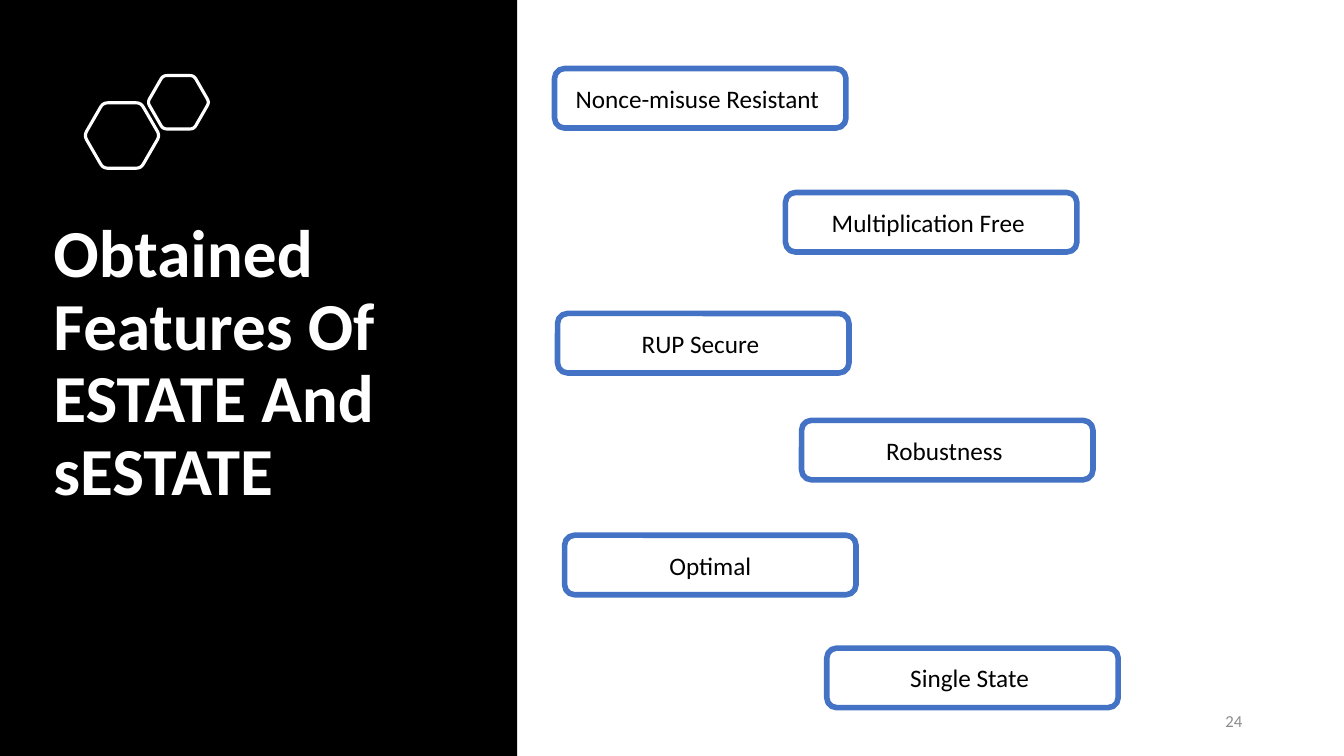
import dataclasses
import math

import pptx
import pptx.dml.color
import pptx.enum.shapes
import pptx.enum.text
import pptx.util

Inches = pptx.util.Inches
Pt = pptx.util.Pt
ALIGN = pptx.enum.text.PP_ALIGN
MIDDLE = pptx.enum.text.MSO_ANCHOR.MIDDLE
SHAPE = pptx.enum.shapes.MSO_SHAPE

FONT = "Calibri"
BLACK, WHITE, BLUE, GRAY = "000000", "FFFFFF", "4472C4", "8C8C8C"
FEATURE_WIDTH, FEATURE_HEIGHT = 2.89, 0.59


@dataclasses.dataclass
class Feature:
    text: str
    left: float
    top: float


@dataclasses.dataclass
class Hexagon:
    center_x: float
    center_y: float
    radius: float
    corner_cut: float


FEATURES = [
    Feature("Nonce-misuse Resistant ", 5.5, 0.68),
    Feature("Multiplication Free ", 7.79, 1.91),
    Feature("RUP Secure ", 5.53, 3.11),
    Feature("Robustness ", 7.95, 4.17),
    Feature("Optimal", 5.6, 5.31),
    Feature("Single State ", 8.2, 6.43),
]
HEXAGONS = [Hexagon(1.21, 1.345, 0.375, 0.05), Hexagon(1.77, 1.015, 0.306, 0.04)]


def color(hex_string: str) -> pptx.dml.color.RGBColor:
    return pptx.dml.color.RGBColor.from_string(hex_string)


def style_shape(shape, fill: str | None, line: str | None, width: float = 0) -> None:
    shape.shadow.inherit = False
    if fill:
        shape.fill.solid()
        shape.fill.fore_color.rgb = color(fill)
    else:
        shape.fill.background()
    if line:
        shape.line.color.rgb = color(line)
        shape.line.width = Pt(width)
    else:
        shape.line.fill.background()


def write_text(shape, text: str, size: float, text_color: str, alignment, bold: bool = False):
    frame = shape.text_frame
    frame.text = text
    frame.word_wrap = True
    frame.auto_size = pptx.enum.text.MSO_AUTO_SIZE.NONE
    frame.vertical_anchor = MIDDLE
    paragraph = frame.paragraphs[0]
    paragraph.alignment = alignment
    paragraph.font.name = FONT
    paragraph.font.size = Pt(size)
    paragraph.font.bold = bold
    paragraph.font.color.rgb = color(text_color)
    return paragraph


def rounded_outline(hexagon: Hexagon, steps: int = 6) -> list[tuple[float, float]]:
    """Points of a hexagon whose corners are short quadratic curves."""
    corners = [
        (hexagon.center_x + hexagon.radius * math.cos(math.radians(angle)),
         hexagon.center_y + hexagon.radius * math.sin(math.radians(angle)))
        for angle in range(0, 360, 60)
    ]
    share = hexagon.corner_cut / hexagon.radius
    points = []
    for index, corner in enumerate(corners):
        neighbours = corners[index - 1], corners[(index + 1) % 6]
        start, end = [
            tuple(c + (n - c) * share for c, n in zip(corner, neighbour))
            for neighbour in neighbours
        ]
        for step in range(steps + 1):
            t = step / steps
            points.append(tuple(
                (1 - t) ** 2 * s + 2 * t * (1 - t) * c + t ** 2 * e
                for s, c, e in zip(start, corner, end)
            ))
    return points


def add_hexagon(slide, hexagon: Hexagon) -> None:
    points = [(Inches(x), Inches(y)) for x, y in rounded_outline(hexagon)]
    builder = slide.shapes.build_freeform(*points[0])
    builder.add_line_segments(points[1:], close=True)
    style_shape(builder.convert_to_shape(), None, WHITE, 2.25)


def add_feature(slide, feature: Feature) -> None:
    shape = slide.shapes.add_shape(
        SHAPE.ROUNDED_RECTANGLE, Inches(feature.left), Inches(feature.top),
        Inches(FEATURE_WIDTH), Inches(FEATURE_HEIGHT))
    style_shape(shape, WHITE, BLUE, 4)
    paragraph = write_text(shape, feature.text, 18, BLACK, ALIGN.CENTER)
    paragraph.space_after = Pt(6)


def main() -> None:
    presentation = pptx.Presentation()
    presentation.slide_width = Inches(13.33)
    presentation.slide_height = Inches(7.5)
    slide = presentation.slides.add_slide(presentation.slide_layouts[5])

    # Title
    title = slide.shapes.title
    title.left, title.top = Inches(0.43), Inches(1.28)
    title.width, title.height = Inches(4.33), Inches(4.68)
    paragraph = write_text(
        title, "Obtained Features Of ESTATE And sESTATE", 48, WHITE, ALIGN.LEFT, bold=True)
    paragraph.line_spacing = 0.9

    # Dark panel, placed behind the title
    panel = slide.shapes.add_shape(SHAPE.RECTANGLE, 0, 0, Inches(5.13), Inches(7.5))
    style_shape(panel, BLACK, None)
    title.element.addprevious(panel.element)

    # Hexagon ornament
    for hexagon in HEXAGONS:
        add_hexagon(slide, hexagon)

    # Feature boxes
    for feature in FEATURES:
        add_feature(slide, feature)

    # Slide number
    number = slide.shapes.add_textbox(Inches(9.42), Inches(6.95), Inches(3), Inches(0.4))
    write_text(number, "24", 12, GRAY, ALIGN.RIGHT)

    presentation.save("out.pptx")


if __name__ == "__main__":
    main()
